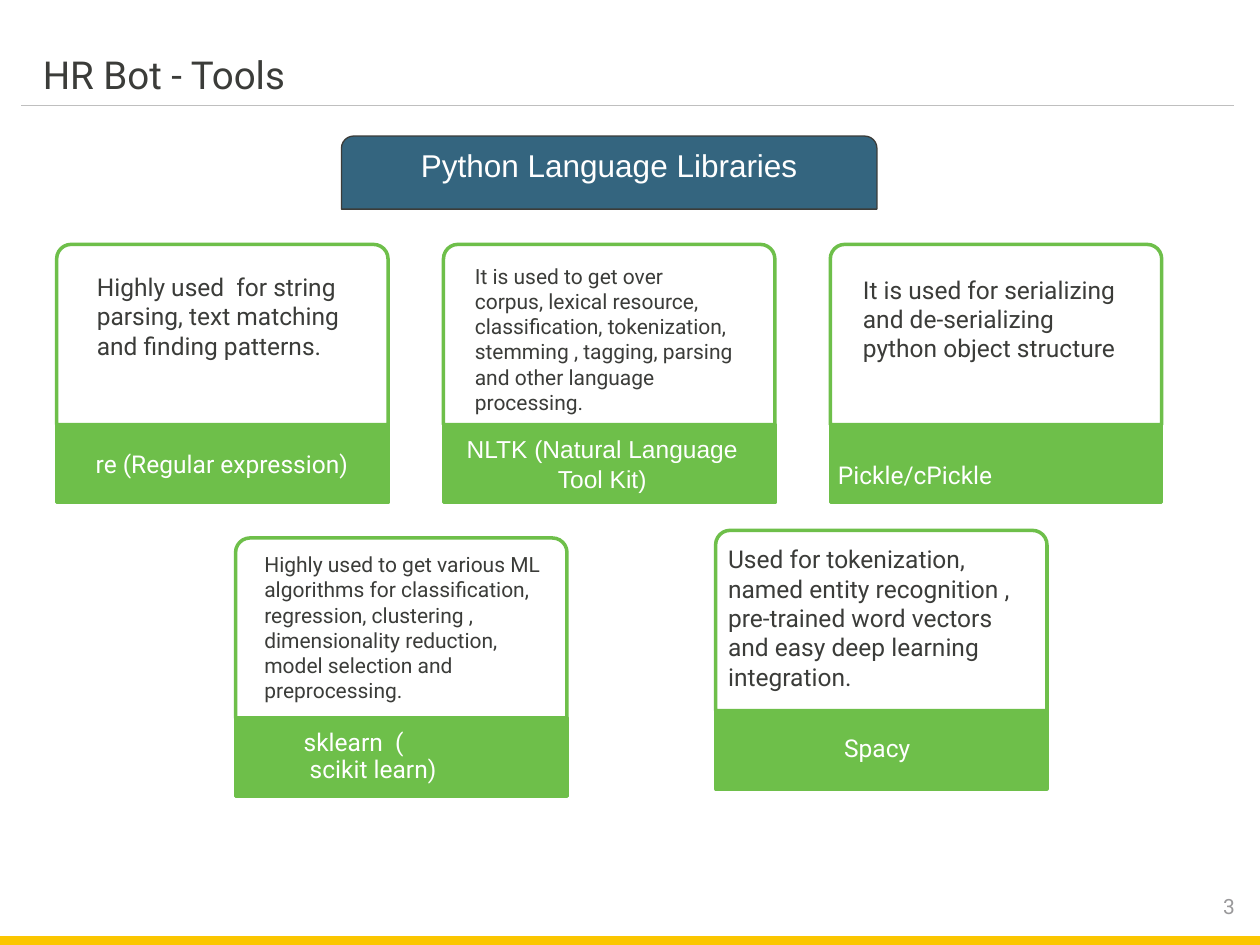
from dataclasses import dataclass

from lxml.etree import SubElement
from pptx import Presentation
from pptx.dml.color import RGBColor as Rgb
from pptx.enum.shapes import MSO_CONNECTOR as Link, MSO_SHAPE as Form
from pptx.enum.text import MSO_ANCHOR as Anchor, MSO_AUTO_SIZE as Fit, PP_ALIGN as Align
from pptx.oxml.ns import qn
from pptx.util import Inches, Pt


@dataclass(frozen=True)
class Theme:
    ink: str = "3B3C39"
    white: str = "FFFFFF"
    green: str = "6EBF4A"
    blue: str = "34657F"
    gold: str = "FBC600"
    rule: str = "BFBFBF"
    gray: str = "9A999B"
    face: str = "Roboto"
    plain: str = "Arial"
    title: int = 22
    head: int = 18
    text: int = 14
    small: int = 12


@dataclass(frozen=True)
class Card:
    left: float
    top: float
    text: str
    size: int
    note: tuple
    label: str
    pads: tuple
    face: str = Theme.face
    align: Align = Align.LEFT
    space: float = 1.0


theme = Theme()
WIDE, TALL, BAND = 2.63, 1.43, 0.62
ROW = [0.45 + 3.07 * n for n in range(3)]

CARDS = [
    Card(ROW[0], 1.94,
         "Highly used  for string parsing, text matching and finding patterns.",
         theme.text, (0.22, 0.17, 2.29, 0.81),
         "re (Regular expression)", (0.31, 0, 0.1, 0)),
    Card(ROW[1], 1.94,
         "It is used to get over corpus, lexical resource, classification, "
         "tokenization, stemming , tagging, parsing and other language processing.",
         theme.small, (0.15, 0.1, 2.25, 1.31),
         "NLTK (Natural Language Tool Kit)", (0.12, 0, 0.23, 0),
         theme.plain, Align.CENTER),
    Card(ROW[2], 1.94,
         "It is used for serializing and de-serializing python object structure",
         theme.text, (0.16, 0.19, 2.25, 0.81),
         "Pickle/cPickle", (0.06, 0.2, 0.6, 0), space=0.9),
    Card(5.68, 4.21,
         "Used for tokenization, named entity recognition , pre-trained word "
         "vectors and easy deep learning integration.",
         theme.text, (0, 0.06, 2.49, 1.28),
         "Spacy", (1.02, 0, 0.6, 0), space=0.9),
    Card(1.87, 4.27,
         "Highly used to get various ML algorithms for classification, regression, "
         "clustering , dimensionality reduction, model selection and preprocessing.",
         theme.small, (0.13, 0.06, 2.46, 1.31),
         "sklearn  (\v scikit learn)", (0.54, 0, 0.6, 0), space=0.9),
]


def write(shape, text, size, color, face=theme.face, align=Align.LEFT,
          anchor=Anchor.TOP, pads=(0.1, 0.05, 0.1, 0.05), space=1.0):
    frame = shape.text_frame
    frame.text = text
    frame.word_wrap = True
    frame.auto_size = Fit.NONE
    frame.vertical_anchor = anchor
    (frame.margin_left, frame.margin_top,
     frame.margin_right, frame.margin_bottom) = map(Inches, pads)
    para = frame.paragraphs[0]
    para.alignment = align
    para.line_spacing = space
    para.font.size = Pt(size)
    para.font.name = face
    para.font.color.rgb = Rgb.from_string(color)


def block(slide, form, box, fill, line=None, width=2):
    shape = slide.shapes.add_shape(form, *map(Inches, box))
    shape.shadow.inherit = False
    shape.fill.solid()
    shape.fill.fore_color.rgb = Rgb.from_string(fill)
    if line:
        shape.line.color.rgb = Rgb.from_string(line)
        shape.line.width = Pt(width)
    else:
        shape.line.fill.background()
    return shape


def label(slide, box, text, size, color, **style):
    shape = slide.shapes.add_textbox(*map(Inches, box))
    write(shape, text, size, color, **style)


def header(slide, left, top, width):
    title = slide.shapes.title
    title.left, title.top = Inches(left + 0.07), Inches(top)
    title.width, title.height = Inches(width - 0.24), Inches(0.49)
    write(title, "HR Bot - Tools", theme.title, theme.ink, anchor=Anchor.BOTTOM)
    level = Inches(top + 0.51)
    rule = slide.shapes.add_connector(
        Link.STRAIGHT, Inches(left), level, Inches(left + width), level)
    rule.line.color.rgb = Rgb.from_string(theme.rule)
    rule.line.width = Pt(0.75)
    SubElement(rule._element.spPr, qn("a:effectLst"))


def banner(slide, box):
    shape = block(slide, Form.ROUND_2_SAME_RECTANGLE, box,
                  theme.blue, theme.ink, 0.75)
    write(shape, "Python Language Libraries", theme.head, theme.white,
          theme.plain, Align.CENTER)


def tool(slide, card):
    left, top = card.left, card.top
    panel = block(slide, Form.ROUND_2_SAME_RECTANGLE, (left, top, WIDE, TALL),
                  theme.white, theme.green)
    panel.adjustments[0] = 0.08
    band = block(slide, Form.RECTANGLE, (left, top + TALL, WIDE, BAND),
                 theme.green, theme.green)
    write(band, card.label, theme.text, theme.white, card.face, card.align,
          Anchor.MIDDLE, card.pads, card.space)
    right, down, width, height = card.note
    label(slide, (left + right, top + down, width, height),
          card.text, card.size, theme.ink)


def footer(slide, top, width):
    label(slide, (width - 2.79, top, 2.69, 0.3), "3", theme.small, theme.gray,
          align=Align.RIGHT)
    block(slide, Form.RECTANGLE, (0, top + 0.39, width, 0.07), theme.gold)


def main():
    deck = Presentation()
    deck.slide_width, deck.slide_height = Inches(10), Inches(7.5)
    slide = deck.slides.add_slide(deck.slide_layouts[5])
    header(slide, 0.17, 0.33, 9.62)
    banner(slide, (2.71, 1.08, 4.25, 0.58))
    for card in CARDS:
        tool(slide, card)
    footer(slide, 7.04, 10)
    deck.save("out.pptx")


if __name__ == "__main__":
    main()
